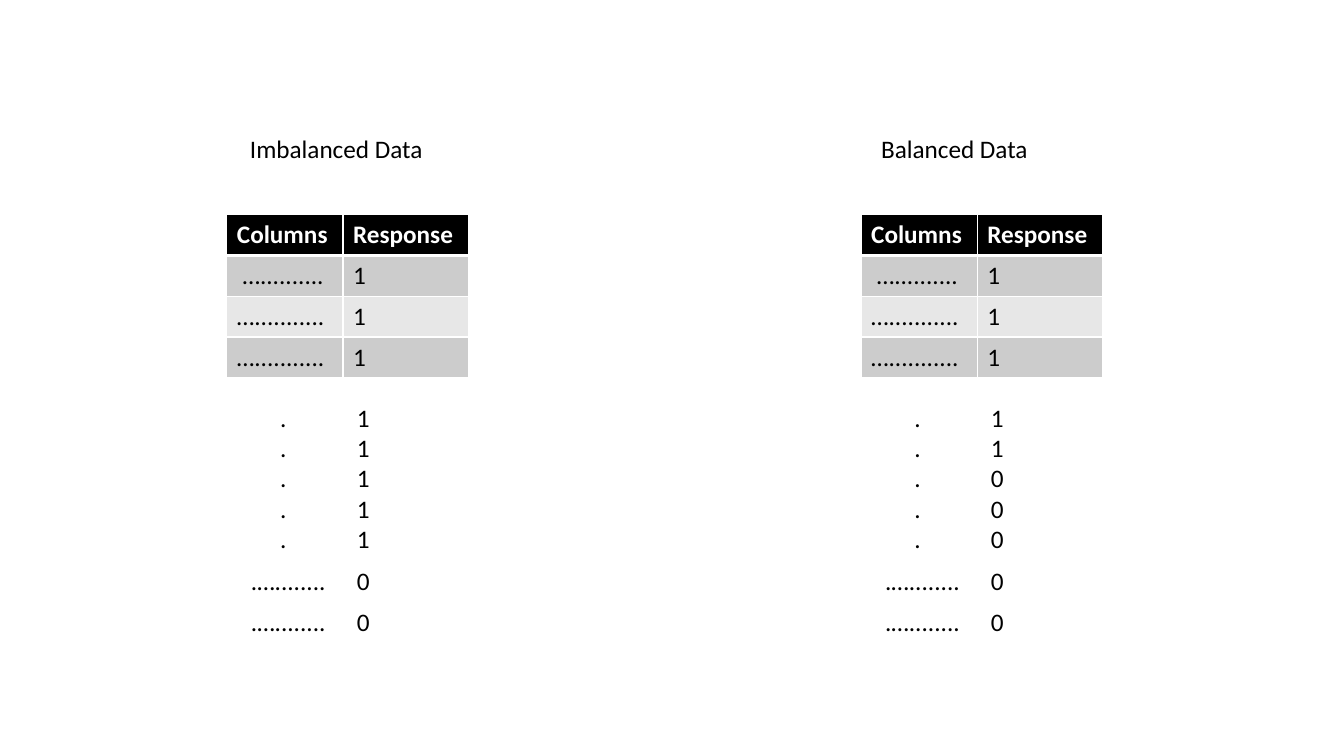
from lxml.etree import SubElement
from pptx import Presentation
from pptx.dml.color import RGBColor as RGB
from pptx.enum.text import MSO_AUTO_SIZE as AutoSize
from pptx.oxml import parse_xml
from pptx.oxml.ns import nsdecls, qn
from pptx.util import Inches, Pt

COLORS = {"ink": "000000", "paper": "FFFFFF", "odd": "CCCCCC", "even": "E7E7E7"}
ROW = 5.4
LIST_TOP = 52.53
TABLE_ROWS = [
    ("Columns", "Response"),
    (" …..........", "1"),
    ("…...........", "1"),
    ("…...........", "1"),
]
PANELS = [
    (16.88, "Imbalanced Data", 0.98, 14.48, "11111"),
    (64.07, "Balanced Data", 0.75, 12.53, "11000"),
]


class Deck:
    font = "Calibri"
    size = Pt(18)

    def __init__(self, prs):
        self.width, self.height = prs.slide_width, prs.slide_height
        self.s = prs.slides.add_slide(prs.slide_layouts[6])

    def box(self, x, y, w, h):
        return (int(self.width * x / 100), int(self.height * y / 100),
                int(self.width * w / 100), int(self.height * h / 100))

    def style(self, tf, color="ink", bold=False):
        for p in tf.paragraphs:
            for r in p.runs:
                r.font.name = self.font
                r.font.size = self.size
                r.font.bold = bold
                r.font.color.rgb = RGB.from_string(COLORS[color])

    def text(self, x, y, w, lines, rows=1):
        tf = self.s.shapes.add_textbox(*self.box(x, y, w, rows * ROW)).text_frame
        tf.word_wrap = False
        tf.auto_size = AutoSize.SHAPE_TO_FIT_TEXT
        tf.text = "\n".join(lines)
        self.style(tf)

    def borders(self, cell, top=1, bottom=1):
        widths = {"L": 1, "R": 1, "T": top, "B": bottom}
        for i, (side, points) in enumerate(widths.items()):
            ln = parse_xml(f'<a:ln{side} {nsdecls("a")} w="{Pt(points)}"/>')
            fill = SubElement(ln, qn("a:solidFill"))
            SubElement(fill, qn("a:srgbClr"), val=COLORS["paper"])
            cell._tc.get_or_add_tcPr().insert(i, ln)

    def table(self, x, y, widths, rows):
        area = self.box(x, y, sum(widths), ROW * len(rows))
        table = self.s.shapes.add_table(len(rows), len(widths), *area).table
        for column, w in zip(table.columns, widths):
            column.width = int(self.width * w / 100)
        for i, values in enumerate(rows):
            fill = "ink" if i == 0 else "odd" if i % 2 else "even"
            for j, value in enumerate(values):
                cell = table.cell(i, j)
                cell.text = value
                cell.fill.solid()
                cell.fill.fore_color.rgb = RGB.from_string(COLORS[fill])
                self.style(cell.text_frame, "ink" if i else "paper", i == 0)
                self.borders(cell, 3 if i == 1 else 1, 3 if i == 0 else 1)


def main():
    prs = Presentation()
    prs.slide_width, prs.slide_height = Inches(13.33), Inches(7.5)
    deck = Deck(prs)
    for left, title, indent, title_width, responses in PANELS:
        deck.text(left + indent, 16.93, title_width, [title])
        deck.table(left, 28.4, (8.65, 9.34), TABLE_ROWS)
        deck.text(left + 3.23, LIST_TOP, 2.03, "." * len(responses), 4)
        deck.text(left + 8.93, LIST_TOP, 2.48, responses, 4)
        for row in (4, 5):
            y = LIST_TOP + row * ROW
            deck.text(left + 1.05, y, 7.05, [".…........"])
            deck.text(left + 8.93, y, 2.48, ["0"])
    prs.save("out.pptx")


if __name__ == "__main__":
    main()
